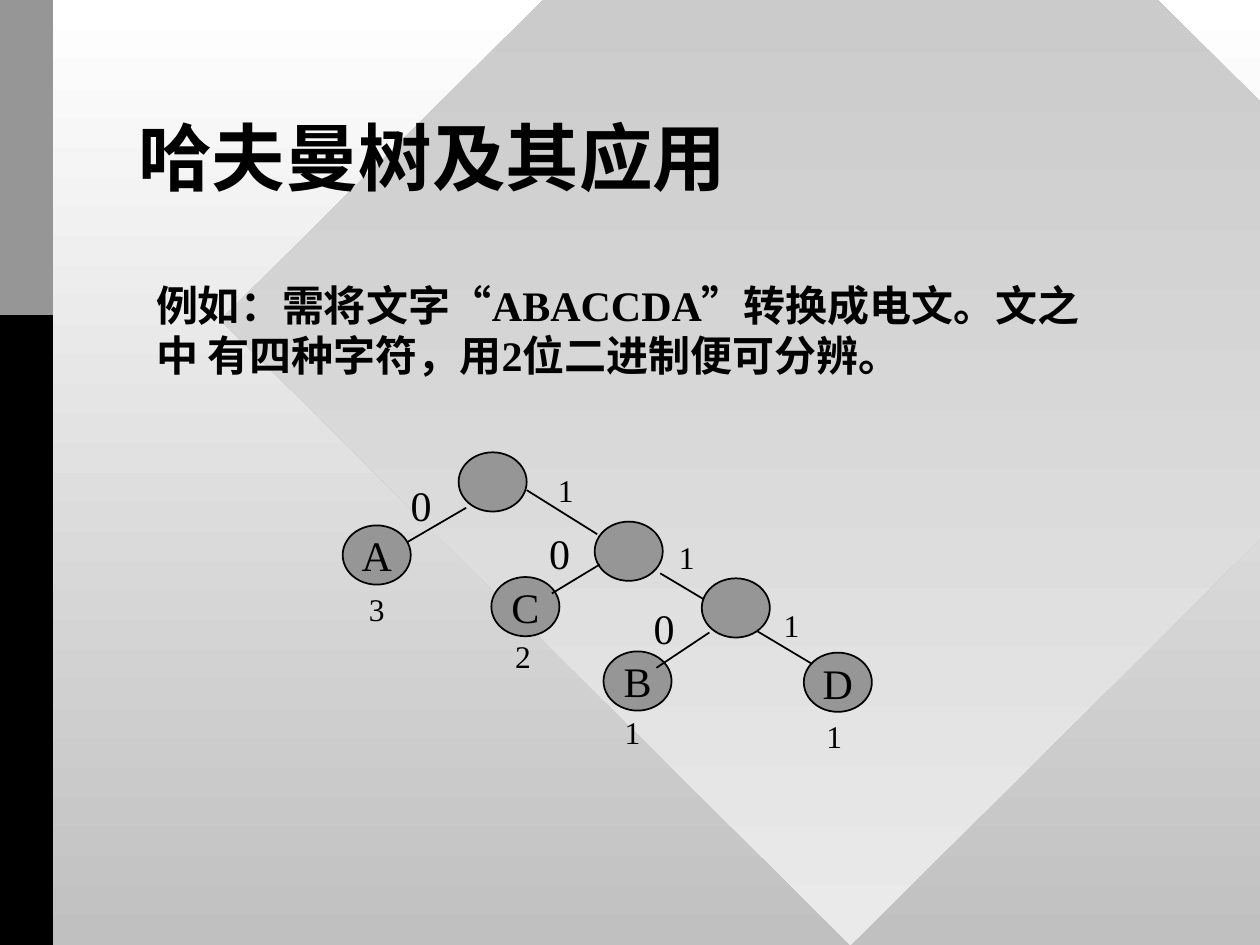
from dataclasses import dataclass

from lxml.etree import SubElement
from pptx import Presentation
from pptx.dml.color import RGBColor
from pptx.enum.shapes import MSO_CONNECTOR as Connector, MSO_SHAPE as Preset
from pptx.enum.text import MSO_ANCHOR as Anchor, PP_ALIGN as Align
from pptx.oxml.ns import qn
from pptx.slide import Slide
from pptx.util import Inches, Pt

COLORS = {
    "ink": "010000",
    "black": "000000",
    "gray": "969696",
    "white": "FFFFFF",
    "silver": "C0C0C0",
    "pale": "EAEAEA",
}
NODE_WIDTH, NODE_HEIGHT = 0.54, 0.47

NODES = [
    (3.64, 3.59, ""),
    (2.72, 4.17, "A"),
    (3.9, 4.58, "C"),
    (4.72, 4.14, ""),
    (5.57, 4.59, ""),
    (4.79, 5.17, "B"),
    (6.38, 5.18, "D"),
]
BACK_EDGES = [
    (3.7, 4.03, 3.22, 4.31),
    (4.18, 3.89, 4.74, 4.24),
    (5.24, 4.55, 6.53, 5.32),
]
FRONT_EDGES = [
    (4.76, 4.48, 4.38, 4.71),
    (5.63, 5.02, 5.21, 5.3),
]
ZERO_BITS = [(3.16, 3.76, 0.31), (4.26, 4.14, 0.45), (5.09, 4.73, 0.43)]
ONE_BITS = [(4.33, 3.69, 0.31), (5.29, 4.22, 0.41), (6.12, 4.76, 0.45)]
WEIGHTS = [
    (2.83, 4.63, 0.42, "3"),
    (3.99, 5.01, 0.39, "2"),
    (4.86, 5.61, 0.39, "1"),
    (6.46, 5.64, 0.39, "1"),
]


def color(name):
    return RGBColor.from_string(COLORS[name])


@dataclass
class Painter:
    page: Slide
    font: str = "Times New Roman"
    large: int = 24
    small: int = 18

    def gradient(self, fill, start, end):
        fill.gradient()
        fill.gradient_angle = 270
        for stop, name, position in zip(fill.gradient_stops, (start, end), (0, 1)):
            stop.color.rgb = color(name)
            stop.position = position

    def shape(self, preset, left, top, width, height, fill=None):
        shape = self.page.shapes.add_shape(
            preset, Inches(left), Inches(top), Inches(width), Inches(height))
        shape.shadow.inherit = False
        shape.line.fill.background()
        if fill:
            shape.fill.solid()
            shape.fill.fore_color.rgb = color(fill)
        return shape

    def fill_text(self, frame, text, size, font=None, bold=False):
        frame.text = text
        para = frame.paragraphs[0]
        for span in para.runs:
            span.font.name = font or self.font
            span.font.size = Pt(size)
            span.font.bold = bold
            span.font.color.rgb = color("ink")
        return para

    def text(self, left, top, width, height, text, size, font=None, bold=False):
        box = self.page.shapes.add_textbox(
            Inches(left), Inches(top), Inches(width), Inches(height))
        box.text_frame.word_wrap = True
        self.fill_text(box.text_frame, text, size, font, bold)
        return box.text_frame

    def label(self, left, top, width, text, size):
        self.text(left, top, width, 0.5 if size == self.large else 0.4, text, size)

    def node(self, left, top, letter):
        node = self.shape(Preset.OVAL, left, top, NODE_WIDTH, NODE_HEIGHT, "gray")
        node.line.color.rgb = color("ink")
        node.line.width = Pt(1)
        if letter:
            node.text_frame.word_wrap = False
            node.text_frame.vertical_anchor = Anchor.MIDDLE
            para = self.fill_text(node.text_frame, letter, self.large)
            para.alignment = Align.CENTER

    def edge(self, *points):
        line = self.page.shapes.add_connector(
            Connector.STRAIGHT, *(Inches(point) for point in points))
        line.line.color.rgb = color("ink")
        line.line.width = Pt(1)
        SubElement(line._element.spPr, qn("a:effectLst"))


def main():
    deck = Presentation()
    deck.slide_width, deck.slide_height = Inches(10), Inches(7.5)
    page = deck.slides.add_slide(deck.slide_layouts[6])
    painter = Painter(page)

    painter.gradient(page.background.fill, "white", "silver")
    diamond = painter.shape(Preset.DIAMOND, 1.75, -2.42, 10, 9.92)
    painter.gradient(diamond.fill, "silver", "pale")
    painter.shape(Preset.RECTANGLE, 0, 0, 0.42, 7.5, "black")
    painter.shape(Preset.RECTANGLE, 0, 0, 0.42, 2.5, "gray")

    title = painter.text(1, 0.67, 8, 1.25, "哈夫曼树及其应用", 42, "Karla", True)
    title.vertical_anchor = Anchor.MIDDLE
    title.paragraphs[0].line_spacing = 0.85
    painter.text(
        1.14, 2.17, 7.7, 0.9,
        "例如：需将文字“ABACCDA”转换成电文。文之中 有四种字符，用2位二进制便可分辨。",
        painter.large, bold=True)

    for points in BACK_EDGES:
        painter.edge(*points)
    for node in NODES:
        painter.node(*node)
    for points in FRONT_EDGES:
        painter.edge(*points)
    for place in ZERO_BITS:
        painter.label(*place, "0", painter.large)
    for place in ONE_BITS:
        painter.label(*place, "1", painter.small)
    for weight in WEIGHTS:
        painter.label(*weight, painter.small)

    deck.save("out.pptx")


if __name__ == "__main__":
    main()
